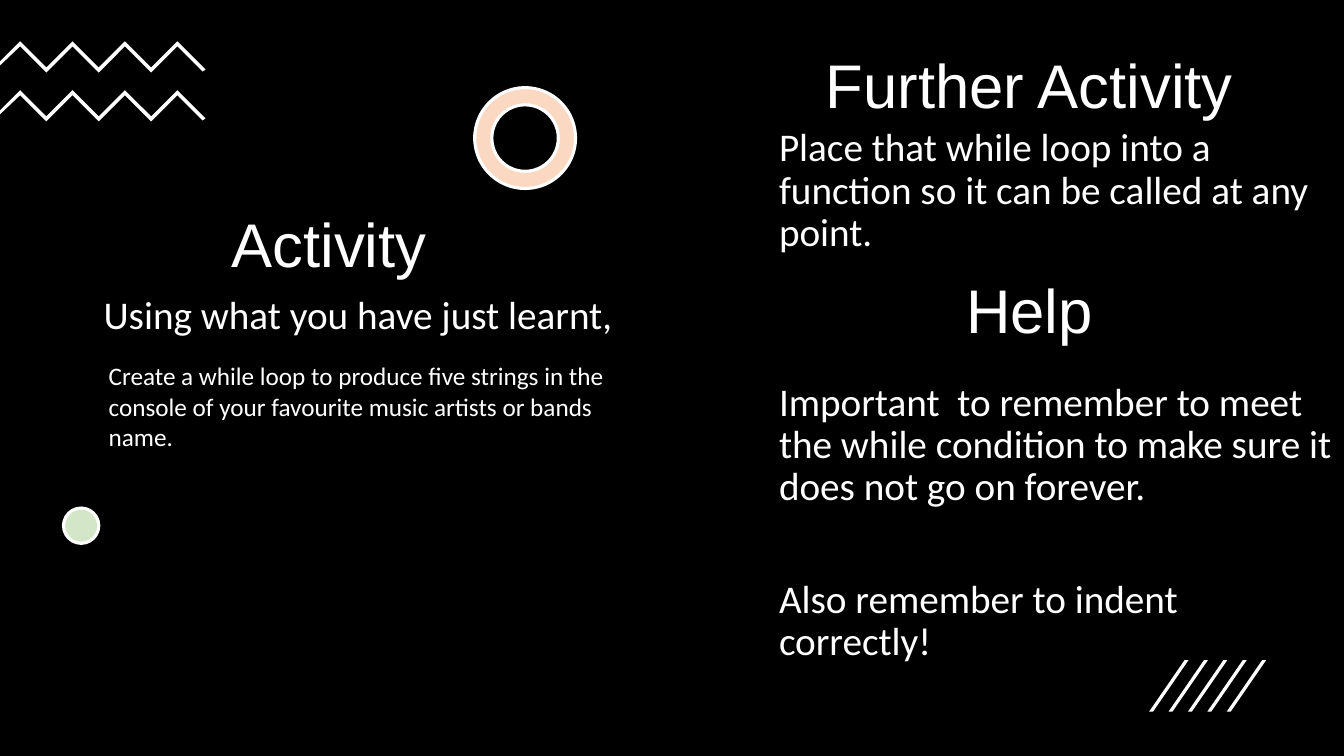
from dataclasses import dataclass

from pptx import Presentation
from pptx.dml.color import RGBColor
from pptx.enum.shapes import MSO_SHAPE
from pptx.enum.text import MSO_ANCHOR, PP_ALIGN
from pptx.util import Inches, Pt

COLUMNS, ROWS = 160, 90
CELL = Inches(7.5) / ROWS


@dataclass(frozen=True)
class Theme:
    background: RGBColor = RGBColor(0x00, 0x00, 0x00)
    ink: RGBColor = RGBColor(0xFF, 0xFF, 0xFF)
    peach: RGBColor = RGBColor(0xFA, 0xD8, 0xC1)
    mint: RGBColor = RGBColor(0xD4, 0xE6, 0xC8)
    heading_font: str = "Arial"
    body_font: str = "Calibri"
    heading_size: int = 44
    body_size: int = 28
    detail_size: int = 18
    outline: float = 2.25
    line_spacing: float = 0.9


THEME = Theme()


def cells(*counts):
    """Turn counts of grid cells into slide lengths."""
    return [round(count * CELL) for count in counts]


def add_text(page, area, paragraphs, size, font=THEME.body_font,
             line_spacing=THEME.line_spacing):
    """Add a text box; each paragraph is (wording, points before it)."""
    frame = page.shapes.add_textbox(*cells(*area)).text_frame
    frame.word_wrap = True
    frame.text = "\n".join(wording for wording, _ in paragraphs)
    for para, (_, gap) in zip(frame.paragraphs, paragraphs):
        para.line_spacing = line_spacing
        para.space_before = Pt(gap)
        for span in para.runs:
            span.font.name = font
            span.font.size = Pt(size)
            span.font.color.rgb = THEME.ink
    return frame


def add_heading(page, left, top, wording):
    frame = add_text(page, (left, top, 68.52, 15.36), [(wording, 0)],
                     THEME.heading_size, THEME.heading_font)
    frame.vertical_anchor = MSO_ANCHOR.MIDDLE
    frame.paragraphs[0].alignment = PP_ALIGN.CENTER


def paint(shape, fill, outlined=False):
    shape.shadow.inherit = False
    shape.fill.solid()
    shape.fill.fore_color.rgb = fill
    if outlined:
        shape.line.color.rgb = THEME.ink
        shape.line.width = Pt(THEME.outline)
    else:
        shape.line.fill.background()


def add_round(page, kind, left, top, size, fill):
    shape = page.shapes.add_shape(kind, *cells(left, top, size, size))
    paint(shape, fill, outlined=True)
    return shape


def add_zigzag(group, top):
    """Draw a zigzag band that enters from the left edge of the slide."""
    step, thickness = 3.12, 0.6
    ridge = [(2.4 + step * turn, top + step * (turn % 2)) for turn in range(7)]
    underside = [(x, y + thickness) for x, y in reversed(ridge)]
    tip = [(24.48, top + 3.36), (24.12, top + 3.6)]
    edge = [(0, top + 2.88), (0, top + 2.4)]
    start, *others = [cells(*point) for point in ridge + tip + underside + edge]
    builder = group.shapes.build_freeform(*start)
    builder.add_line_segments(others, close=True)
    paint(builder.convert_to_shape(), THEME.ink)


def add_slashes(page, left, top, count, pitch):
    group = page.shapes.add_group_shape()
    for index in range(count):
        slash = group.shapes.add_shape(
            MSO_SHAPE.PARALLELOGRAM,
            *cells(left + index * pitch, top, 4.68, 6.12))
        slash.adjustments[0] = 0.9
        paint(slash, THEME.ink)


def add_decoration(page):
    ring = add_round(page, MSO_SHAPE.DONUT, 56.52, 10.44, 12, THEME.peach)
    ring.adjustments[0] = 0.17
    add_round(page, MSO_SHAPE.OVAL, 7.56, 60.48, 4.2, THEME.mint)
    zigzags = page.shapes.add_group_shape()
    for top in (4.92, 10.74):
        add_zigzag(zigzags, top)
    add_slashes(page, 136.8, 78.6, count=5, pitch=2.31)


def main():
    deck = Presentation()
    deck.slide_width, deck.slide_height = cells(COLUMNS, ROWS)
    page = deck.slides.add_slide(deck.slide_layouts[6])
    page.background.fill.solid()
    page.background.fill.fore_color.rgb = THEME.background

    add_decoration(page)
    add_heading(page, 4.92, 21.84, "Activity")
    add_text(page, (11.16, 34.56, 68.52, 7),
             [("Using what you have just learnt,", 0)], THEME.body_size)
    add_text(page, (11.76, 42.36, 61.56, 12.12),
             [("Create a while loop to produce five strings in the console "
               "of your favourite music artists or bands name.", 0)],
             THEME.detail_size, line_spacing=1.0)
    add_heading(page, 88.32, 2.88, "Further Activity")
    add_text(page, (91.56, 14.64, 68.52, 65),
             [("Place that while loop into a function so it can be called "
               "at any point.", 0),
              ("Important  to remember to meet the while condition to make "
               "sure it does not go on forever.", 91),
              ("Also remember to indent correctly!", 50)],
             THEME.body_size)
    add_heading(page, 88.32, 29.64, "Help")
    deck.save("out.pptx")


if __name__ == "__main__":
    main()
